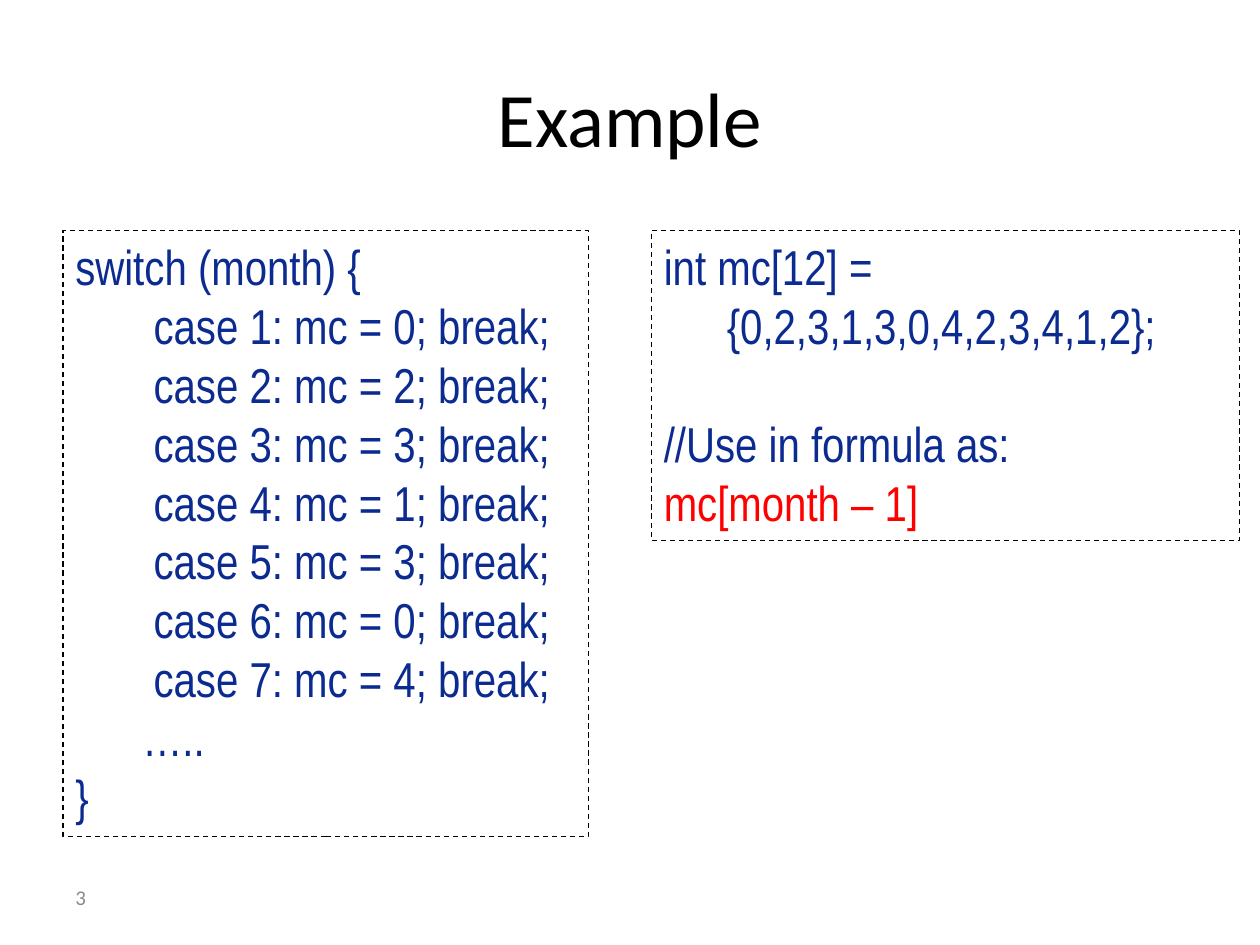
from pptx import Presentation
from pptx.dml.color import RGBColor
from pptx.enum.dml import MSO_LINE
from pptx.enum.shapes import MSO_SHAPE
from pptx.enum.text import MSO_ANCHOR, PP_ALIGN
from pptx.util import Inches, Pt

COLORS = {
    "title": "000000",
    "border": "000000",
    "code": "0B2B91",
    "highlight": "FF0000",
    "number": "8C8C8C",
}
CODE_LINE_HEIGHT = Pt(33.6)
MONTH_CODES = [0, 2, 3, 1, 3, 0, 4]


def add_run(paragraph, text, font_name, size, color):
    run = paragraph.add_run()
    run.text = text
    run.font.name = font_name
    run.font.size = Pt(size)
    run.font.color.rgb = RGBColor.from_string(COLORS[color])


def place_title(slide, text, left, top, width, height):
    title = slide.shapes.title
    title.left, title.top, title.width, title.height = left, top, width, height
    title.text_frame.vertical_anchor = MSO_ANCHOR.MIDDLE
    paragraph = title.text_frame.paragraphs[0]
    paragraph.alignment = PP_ALIGN.CENTER
    add_run(paragraph, text, "Calibri", 44, "title")


def add_code_panel(slide, lines, left, top, width, height):
    """Draw a dashed panel of code; each line is (text, color, space before)."""
    panel = slide.shapes.add_shape(MSO_SHAPE.RECTANGLE, left, top, width, height)
    panel.shadow.inherit = False
    panel.fill.background()
    panel.line.color.rgb = RGBColor.from_string(COLORS["border"])
    panel.line.width = Pt(0.75)
    panel.line.dash_style = MSO_LINE.DASH

    frame = panel.text_frame
    frame.word_wrap = True
    frame.vertical_anchor = MSO_ANCHOR.TOP
    for index, (text, color, space_before) in enumerate(lines):
        paragraph = frame.add_paragraph() if index else frame.paragraphs[0]
        paragraph.alignment = PP_ALIGN.LEFT
        if space_before:
            paragraph.space_before = space_before
        add_run(paragraph, text, "Arial Narrow", 28, color)


def add_slide_number(slide, number, left, top, width, height):
    frame = slide.shapes.add_textbox(left, top, width, height).text_frame
    frame.word_wrap = True
    frame.vertical_anchor = MSO_ANCHOR.MIDDLE
    add_run(frame.paragraphs[0], number, "Calibri", 12, "number")


def main():
    prs = Presentation()
    prs.slide_width, prs.slide_height = Inches(10), Inches(7.5)
    slide = prs.slides.add_slide(prs.slide_layouts[5])

    cases = [f"       case {month}: mc = {code}; break;"
             for month, code in enumerate(MONTH_CODES, start=1)]
    switch_code = ["switch (month) {", *cases, "      …..", "}"]
    switch_lines = [(text, "code", None) for text in switch_code]
    array_lines = [
        ("int mc[12] =", "code", None),
        ("\t{0,2,3,1,3,0,4,2,3,4,1,2};", "code", None),
        ("//Use in formula as:", "code", CODE_LINE_HEIGHT),
        ("mc[month – 1]", "highlight", None),
    ]

    place_title(slide, "Example",
                Inches(0.5), Inches(0.3), Inches(9), Inches(1.25))
    add_slide_number(slide, "3",
                     Inches(0.5), Inches(6.92), Inches(2.33), Inches(0.4))
    panel_top = Inches(1.83)
    add_code_panel(slide, switch_lines,
                   Inches(0.5), panel_top, Inches(4.17), Inches(4.81))
    add_code_panel(slide, array_lines,
                   Inches(5.17), panel_top, Inches(4.67), Inches(2.46))

    prs.save("out.pptx")


if __name__ == "__main__":
    main()
